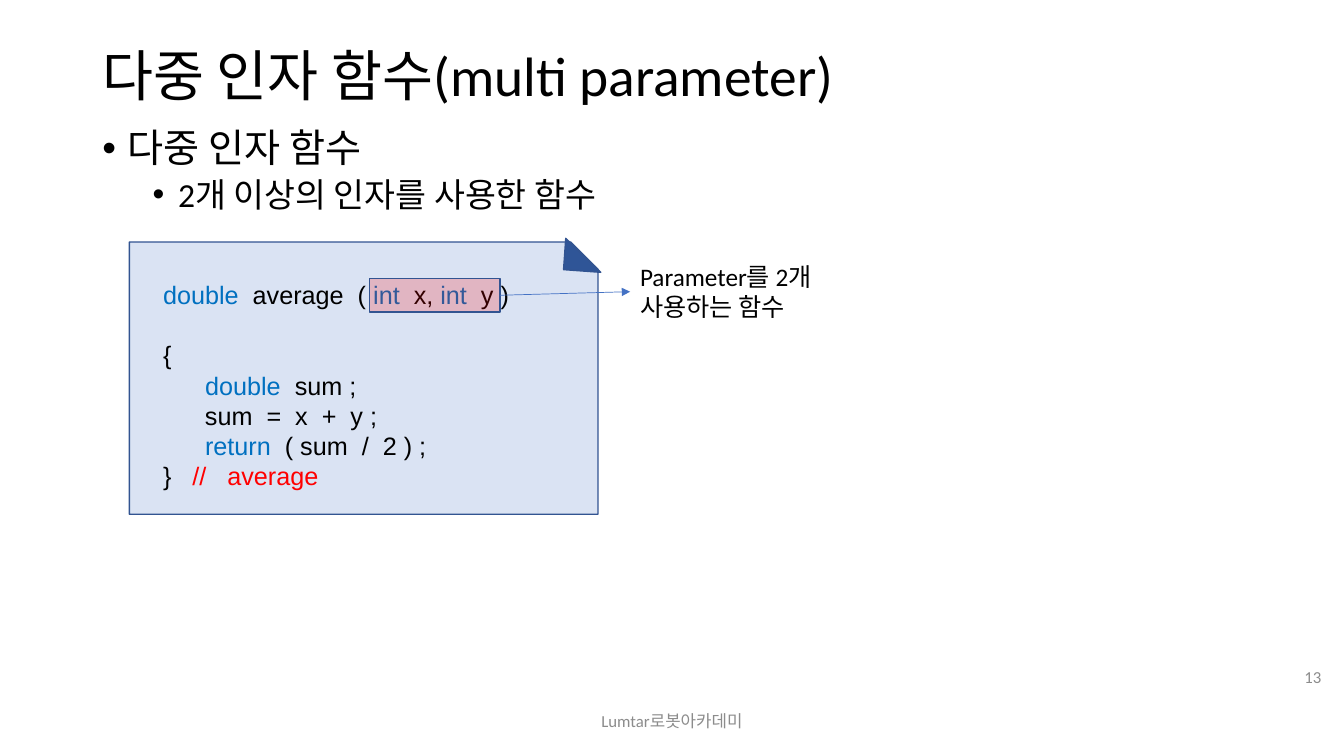
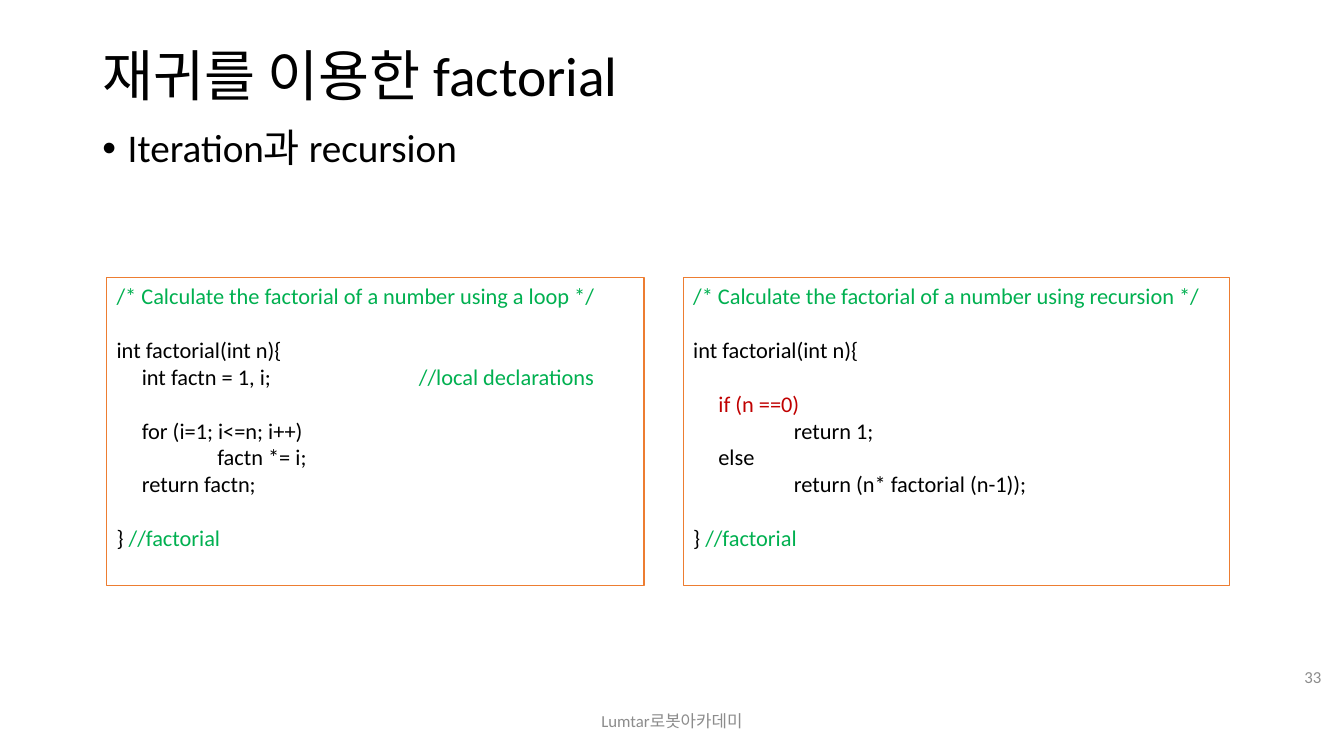
from dataclasses import dataclass

from lxml import etree
from pptx import Presentation
from pptx.dml.color import RGBColor
from pptx.enum.shapes import MSO_CONNECTOR, MSO_SHAPE
from pptx.enum.text import MSO_ANCHOR, MSO_AUTO_SIZE, PP_ALIGN
from pptx.oxml.ns import qn
from pptx.util import Cm, Pt

LEFT, CENTER, RIGHT = PP_ALIGN.LEFT, PP_ALIGN.CENTER, PP_ALIGN.RIGHT
TOP, MIDDLE = MSO_ANCHOR.TOP, MSO_ANCHOR.MIDDLE
RECTANGLE = MSO_SHAPE.RECTANGLE
TITLE_ONLY = 5


@dataclass(frozen=True)
class Theme:
    font: str = "Calibri"
    code_font: str = "Arial"
    text: str = "000000"
    muted: str = "8C8C8C"
    note_fill: str = "DAE3F3"
    fold: str = "2F5597"
    note_line: str = "325491"
    arrow: str = "4472C4"
    frame: str = "ED7D31"
    white: str = "FFFFFF"
    keyword: str = "0070C0"
    red: str = "FF0000"
    comment: str = "00B050"
    condition: str = "C00000"
    title_size: float = 39.6
    bullet_sizes: tuple = (28, 24)
    body_size: int = 18
    listing_size: int = 16
    footer_size: int = 12


THEME = Theme()
TEXT = THEME.text
FOOTER = "Lumtar로봇아카데미"


def write(shape, lines, size, font=THEME.font, align=LEFT, anchor=TOP):
    """Fill a shape with lines, each a list of (text, colour) spans.

    An empty line becomes space before the line that follows it.
    """
    frame = shape.text_frame
    frame.word_wrap = True
    frame.auto_size = MSO_AUTO_SIZE.NONE
    frame.vertical_anchor = anchor
    para, gap = None, 0
    for line in lines:
        if not line:
            gap += 1
            continue
        para = frame.add_paragraph() if para else frame.paragraphs[0]
        para.alignment = align
        if gap:
            para.space_before = Pt(gap * size * 1.2)
            gap = 0
        for text, color in line:
            span = para.add_run()
            span.text = text
            span.font.size = Pt(size)
            span.font.name = font
            span.font.color.rgb = RGBColor.from_string(color)
    return frame


def add_panel(page, preset, box, fill, line):
    panel = page.shapes.add_shape(preset, *map(Cm, box))
    panel.shadow.inherit = False
    panel.fill.solid()
    panel.fill.fore_color.rgb = RGBColor.from_string(fill)
    panel.line.color.rgb = RGBColor.from_string(line)
    panel.line.width = Pt(1)
    return panel


deck = Presentation()
deck.slide_width, deck.slide_height = Cm(33.87), Cm(19.05)

# Title, bullets and footer of every page
PAGES = [
    ("다중 인자 함수(multi parameter)", ["다중 인자 함수", "2개 이상의 인자를 사용한 함수"], "13"),
    ("재귀를 이용한 factorial", ["Iteration과 recursion"], "33"),
]
pages = []
for heading, bullets, number in PAGES:
    page = deck.slides.add_slide(deck.slide_layouts[TITLE_ONLY])
    pages.append(page)

    title = page.shapes.title
    title.left, title.top, title.width, title.height = Cm(2.33), Cm(1.02), Cm(29.21), Cm(1.9)
    frame = write(title, [[(heading, TEXT)]], THEME.title_size, anchor=MIDDLE)
    frame.paragraphs[0].line_spacing = 0.9

    body = page.shapes.add_textbox(Cm(2.33), Cm(3.12), Cm(29.21), Cm(14.05))
    frame = write(body, [[(bullet, TEXT)] for bullet in bullets], THEME.bullet_sizes[0])
    for level, para in enumerate(frame.paragraphs):
        para.level = level
        para.line_spacing = 0.9
        if level:
            para.space_before = Pt(5)
        para.runs[0].font.size = Pt(THEME.bullet_sizes[level])
        properties = para._p.get_or_add_pPr()
        properties.set("marL", str(Cm(0.64 + 1.27 * level)))
        properties.set("indent", str(Cm(-0.64)))
        etree.SubElement(properties, qn("a:buFont"), typeface="Arial")
        etree.SubElement(properties, qn("a:buChar"), char="•")

    footer = page.shapes.add_textbox(Cm(11.22), Cm(17.66), Cm(11.43), Cm(1.01))
    write(footer, [[(FOOTER, THEME.muted)]], THEME.footer_size, align=CENTER, anchor=MIDDLE)
    page_number = page.shapes.add_textbox(Cm(31.98), Cm(16.54), Cm(1.57), Cm(1.01))
    write(page_number, [[(number, THEME.muted)]], THEME.footer_size, align=RIGHT, anchor=MIDDLE)

parameter_page, factorial_page = pages

# Folded note with the averaging function
note = add_panel(parameter_page, MSO_SHAPE.SNIP_1_RECTANGLE, (3.26, 6.1, 11.81, 6.86),
                 THEME.note_fill, THEME.note_line)
note.adjustments[0] = 0.1
fold = add_panel(parameter_page, MSO_SHAPE.RIGHT_TRIANGLE, (14.23, 6.04, 0.94, 0.79),
                 THEME.fold, THEME.note_line)
fold.rotation = 4.1

KEYWORD = THEME.keyword
average_code = [
    [("double  ", KEYWORD), ("average  ( ", TEXT), ("int ", KEYWORD), (" x, ", TEXT),
     ("int", KEYWORD), ("  y )", TEXT)],
    [],
    [("{", TEXT)],
    [("      ", TEXT), ("double  ", KEYWORD), ("sum ;", TEXT)],
    [("      sum  =  x  +  y ;", TEXT)],
    [("      ", TEXT), ("return ", KEYWORD), (" ( sum  /  2 ) ;", TEXT)],
    [("}   ", TEXT), ("//   average", THEME.red)],
]
code = parameter_page.shapes.add_textbox(Cm(3.86), Cm(6.91), Cm(11.25), Cm(5.64))
write(code, average_code, THEME.body_size, THEME.code_font)

# Highlighted parameters and their explanation
highlight = add_panel(parameter_page, RECTANGLE, (9.32, 7.02, 3.28, 0.84),
                      THEME.red, THEME.note_line)
red = highlight.fill._xPr.find(qn("a:solidFill")).find(qn("a:srgbClr"))
etree.SubElement(red, qn("a:alpha"), val="20000")

remark = parameter_page.shapes.add_textbox(Cm(15.88), Cm(6.45), Cm(7.01), Cm(1.8))
write(remark, [[("Parameter를 2개 사용하는 함수", TEXT)]], THEME.body_size)

arrow = parameter_page.shapes.add_connector(MSO_CONNECTOR.STRAIGHT, 0, 0, 0, 0)
arrow.begin_connect(highlight, 3)
arrow.end_connect(remark, 1)
arrow.line.color.rgb = RGBColor.from_string(THEME.arrow)
arrow.line.width = Pt(0.5)
etree.SubElement(arrow.line._get_or_add_ln(), qn("a:tailEnd"), type="triangle")
etree.SubElement(arrow._element.spPr, qn("a:effectLst"))

# Loop and recursion side by side
COMMENT = THEME.comment
signature = [("int factorial(int n){", TEXT)]
closing = [("} ", TEXT), ("//factorial", COMMENT)]
loop_code = [
    [("/* Calculate the factorial of a number using a loop */", COMMENT)],
    [],
    signature,
    [("     int factn = 1, i;\t", TEXT), ("//local declarations", COMMENT)],
    [],
    [("     for (i=1; i<=n; i++)", TEXT)],
    [("\tfactn *= i;", TEXT)],
    [("     return factn;", TEXT)],
    [],
    closing,
]
recursion_code = [
    [("/* Calculate the factorial of a number using recursion */", COMMENT)],
    [],
    signature,
    [],
    [("     ", TEXT), ("if (n ==0)", THEME.condition)],
    [("\treturn 1;", TEXT)],
    [("     else", TEXT)],
    [("\treturn (n* factorial (n-1));", TEXT)],
    [],
    closing,
]
for left, width, listing in [(2.69, 13.54, loop_code), (17.22, 13.77, recursion_code)]:
    panel = add_panel(factorial_page, RECTANGLE, (left, 6.99, width, 7.77),
                      THEME.white, THEME.frame)
    frame = write(panel, listing, THEME.listing_size)
    for para in frame.paragraphs:
        tabs = etree.SubElement(para._p.get_or_add_pPr(), qn("a:tabLst"))
        for stop in (2.54, 7.62):
            etree.SubElement(tabs, qn("a:tab"), pos=str(Cm(stop)), algn="l")

deck.save("out.pptx")
